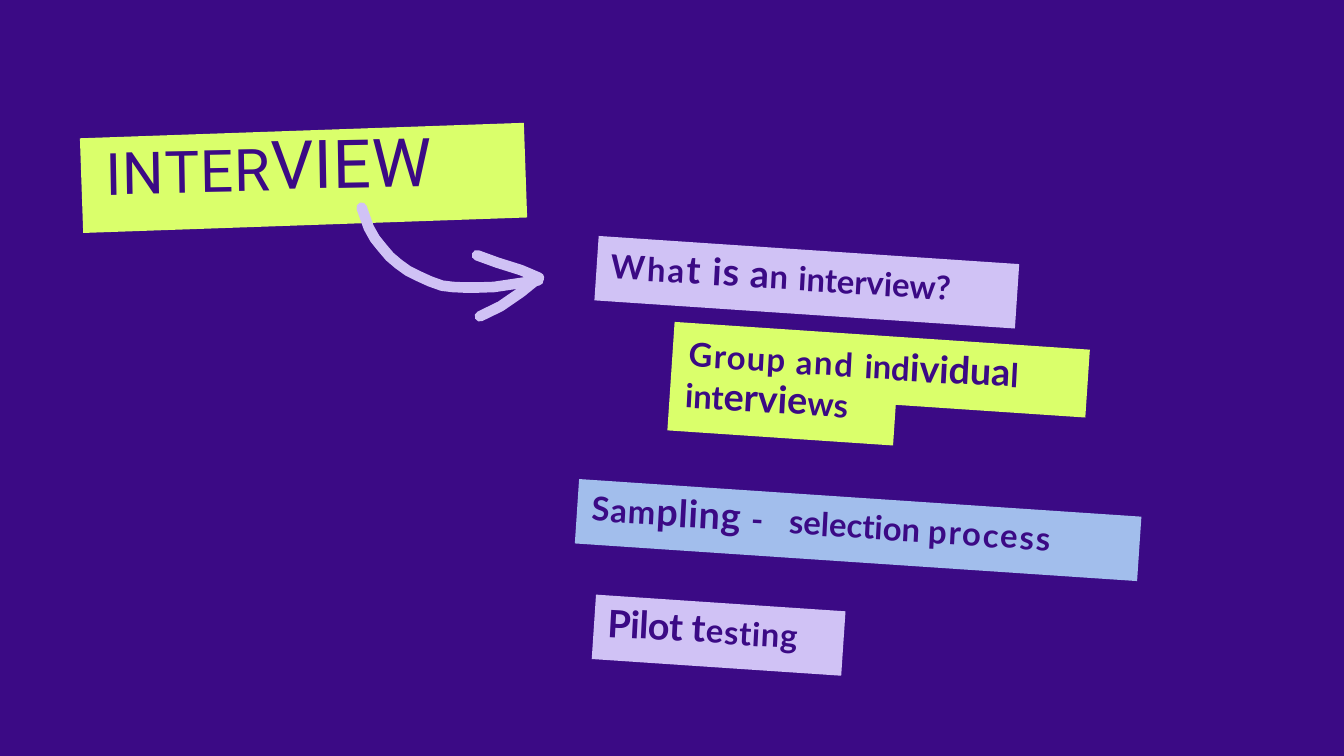
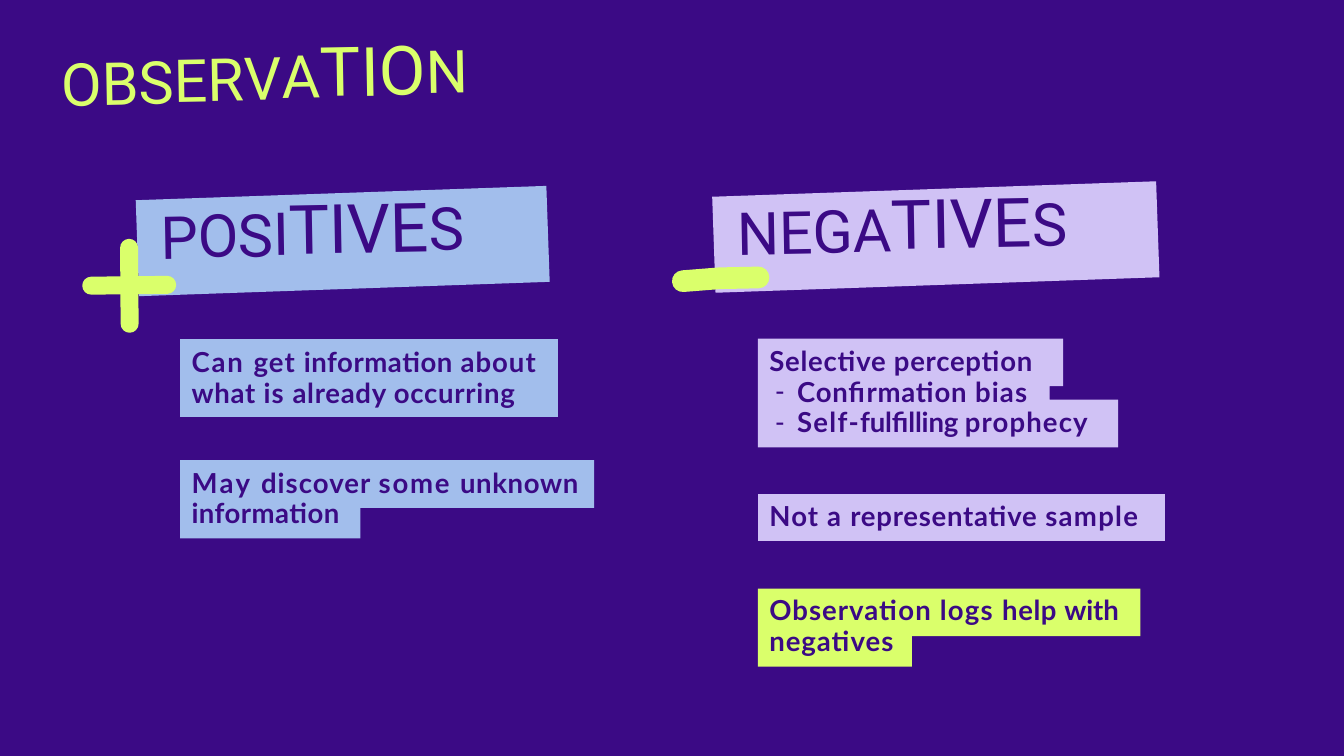
from dataclasses import dataclass
from math import cos, radians, sin

from lxml import etree
from pptx import Presentation
from pptx import util as u
from pptx.dml.color import RGBColor
from pptx.enum import text
from pptx.oxml import ns


@dataclass(frozen=True)
class Theme:
    purple: str = "3B0A85"
    lime: str = "DAFF6B"
    lilac: str = "D0C2F5"
    blue: str = "A2BEEC"
    heading_font: str = "Roboto"
    body_font: str = "Lato"
    title_size: float = 72
    heading_size: float = 73
    label_size: float = 40.5
    list_size: float = 29.5
    list_leading: float = 32.8
    raised_scale: float = 1.5
    heading_tilt: float = -2
    label_tilt: float = 3.83
    heading_turn: float = 359
    label_turn: float = 3


THEME = Theme()


@dataclass(frozen=True)
class Look:
    font: str
    size: float
    leading: float
    colour: str = THEME.purple
    bold: bool = False
    turn: float = 0


@dataclass(frozen=True)
class Item:
    """One paragraph; spans are (text, spacing in points, baseline in percent)."""
    spans: list
    gap: float = 0
    dashed: bool = False


def apply(target, values):
    for name, value in values.items():
        setattr(target, name, value)


def rgb(colour):
    return RGBColor.from_string(colour)


def heading_look(size, leading, colour=THEME.purple):
    return Look(THEME.heading_font, size, leading, colour, turn=THEME.heading_turn)


def label_look(leading):
    return Look(THEME.body_font, THEME.label_size, leading, bold=True,
                turn=THEME.label_turn)


LIST_LOOK = Look(THEME.body_font, THEME.list_size, THEME.list_leading, bold=True)


def add_span(para, look, words, spacing, shift=0):
    """Shifted letters render reduced, so they are set larger."""
    span = para.add_run()
    span.text = words
    scale = THEME.raised_scale if shift else 1
    apply(span.font, {"name": look.font, "size": u.Pt(look.size * scale),
                      "bold": look.bold})
    span.font.color.rgb = rgb(look.colour)
    props = span._r.get_or_add_rPr()
    props.set("spc", str(round(spacing * 100)))
    if shift:
        props.set("baseline", str(shift * 1000))


def set_bullet(para, dashed):
    props = para._p.get_or_add_pPr()
    margin, hanging = (1.05, -0.82) if dashed else (0, 0)
    props.set("marL", str(u.Cm(margin)))
    props.set("indent", str(u.Cm(hanging)))
    if dashed:
        etree.SubElement(props, ns.qn("a:buChar")).set("char", "-")
    else:
        etree.SubElement(props, ns.qn("a:buNone"))


def write(box, place, items, look):
    """Place a text box or placeholder on top of the page and fill it."""
    apply(box, dict(zip(("left", "top", "width", "height"), map(u.Cm, place))))
    box.rotation = look.turn
    frame = box.text_frame
    apply(frame, {"word_wrap": True, "vertical_anchor": text.MSO_ANCHOR.TOP,
                  "auto_size": text.MSO_AUTO_SIZE.SHAPE_TO_FIT_TEXT,
                  "margin_left": 0, "margin_top": 0,
                  "margin_right": 0, "margin_bottom": 0})
    for number, item in enumerate(items):
        para = frame.add_paragraph() if number else frame.paragraphs[0]
        apply(para, {"alignment": text.PP_ALIGN.LEFT,
                     "line_spacing": u.Pt(look.leading),
                     "space_before": u.Pt(item.gap), "space_after": u.Pt(0)})
        set_bullet(para, item.dashed)
        for span in item.spans:
            add_span(para, look, *span)
    box.element.getparent().append(box.element)


def add_label(page, place, leading, spans):
    box = page.shapes.add_textbox(0, 0, 0, 0)
    write(box, place, [Item(spans)], label_look(leading))


def emu(points):
    return [(u.Cm(x), u.Cm(y)) for x, y in points]


def add_strip(page, left, top, rows, colour, tilt=0):
    """Paper strip from rows of (width, bottom), turned about its top left."""
    outline, upper = [(0, 0)], 0
    for width, bottom in rows:
        outline += [(width, upper), (width, bottom)]
        upper = bottom
    outline.append((0, upper))
    c, s = cos(radians(tilt)), sin(radians(tilt))
    corners = emu((left + x * c - y * s, top + x * s + y * c) for x, y in outline)
    pen = page.shapes.build_freeform(*corners[0])
    pen.add_line_segments(corners[1:], close=True)
    strip = pen.convert_to_shape()
    strip.shadow.inherit = False
    strip.fill.solid()
    strip.fill.fore_color.rgb = rgb(colour)
    strip.line.fill.background()


def add_brush(page, strokes, colour, weight):
    """Thick round-ended strokes, each a list of points."""
    first, *others = map(emu, strokes)
    pen = page.shapes.build_freeform(*first[0])
    pen.add_line_segments(first[1:], close=False)
    for stroke in others:
        pen.move_to(*stroke[0])
        pen.add_line_segments(stroke[1:], close=False)
    mark = pen.convert_to_shape()
    mark.shadow.inherit = False
    mark.fill.background()
    mark.line.color.rgb = rgb(colour)
    mark.line.width = u.Cm(weight)
    line = mark.element.spPr.get_or_add_ln()
    line.set("cap", "rnd")
    etree.SubElement(line, ns.qn("a:round"))


def build_interview(deck):
    page = deck.slides.add_slide(deck.slide_layouts.get_by_name("Title Only"))
    for left, top, rows, colour in [
        (22.63, 8.92, [(15.93, 2.44)], THEME.lilac),
        (25.5, 12.17, [(15.73, 2.57), (8.55, 4.11)], THEME.lime),
        (21.89, 18.11, [(21.3, 2.44)], THEME.blue),
        (22.53, 22.48, [(9.45, 2.44)], THEME.lilac),
    ]:
        add_strip(page, left, top, rows, colour, THEME.label_tilt)

    add_label(page, (23.06, 10.11, 14.88, 1.42), 36.5, [
        ("W", 2.2, 3), ("ha", 2.2, 1), ("t ", 1.4), ("is a", 0.8),
        ("n ", 1.2, -1), ("i", -0.1, -1), ("nt", -0.1, -2),
        ("erv", -0.1, -3), ("ie", -0.1, -4), ("w?", -0.1, -5)])
    add_label(page, (26.01, 13.41, 14.48, 1.42), 39.4, [
        ("G", 1.4, 6), ("rou", 1.4, 5), ("p ", 1.4, 4), ("and ", 1.9, 3),
        ("in", -0.1, 2), ("d", -0.1, 1), ("ividua", -0.1), ("l", -0.1, -1)])
    add_label(page, (25.88, 14.71, 7.37, 1.42), 38.3, [
        ("i", -0.1, 2), ("nt", -0.1, 1), ("ervie", -0.1),
        ("w", -0.1, -1), ("s", -0.1, -2)])
    add_label(page, (22.33, 19.48, 20.22, 1.42), 35, [
        ("S", 1, 3), ("a", 1, 2), ("m", 1, 1), ("pling ", 0.7),
        ("- ", 9.5, -1), ("s", 0, -1), ("e", 0, -2), ("lect", 0, -3),
        ("io", 0, -4), ("n ", 0, -5), ("p", 2, -5), ("ro", 2, -6),
        ("ce", 2, -7), ("ss", 2, -8)])
    add_label(page, (22.94, 23.42, 8.46, 1.42), 37.3, [
        ("Pilot ", -0.6), ("t", 0.5), ("e", 0.7, -1), ("st", 0.7, -2),
        ("ing", 0.7, -3)])

    add_strip(page, 3.02, 5.23, [(16.79, 3.58)], THEME.lime, THEME.heading_tilt)
    write(page.shapes.title, (3.99, 5.49, 15.01, 2.54), [Item([
        ("IN", 0.8, -3), ("TE", 0.8, -2), ("R", 0.8, -1), ("VIEW", 0.6)])],
        heading_look(THEME.title_size, 68.3))
    shaft = [(13.67, 7.85), (13.94, 8.61), (14.17, 9.02), (14.45, 9.37),
             (14.73, 9.7), (15.06, 9.98), (15.42, 10.24), (15.82, 10.44),
             (16.26, 10.64), (16.71, 10.8), (17.12, 10.85), (17.53, 10.87),
             (18.08, 10.87), (18.67, 10.85), (20.35, 10.6)]
    head = [(18.03, 9.65), (18.8, 9.93), (19.69, 10.21), (20.37, 10.5),
            (19.69, 11.05), (18.92, 11.58), (18.14, 11.96)]
    add_brush(page, [shaft, head], THEME.lilac, 0.4)


def build_observation(deck):
    page = deck.slides.add_slide(deck.slide_layouts.get_by_name("Comparison"))
    title, positives, pros, negatives, cons = page.placeholders
    pros_left, cons_left, list_top = 6.81, 28.65, 12.8

    add_strip(page, 5.13, 7.57, [(15.53, 3.63)], THEME.blue, THEME.heading_tilt)
    add_strip(page, 26.92, 7.44, [(16.79, 3.63)], THEME.lilac, THEME.heading_tilt)
    for left, top, rows, colour in [
        (pros_left, list_top, [(14.27, 2.95)], THEME.blue),
        (pros_left, 17.4, [(15.65, 1.8), (6.81, 2.95)], THEME.blue),
        (cons_left, list_top, [(11.53, 1.8), (11.02, 2.31), (13.61, 4.11)],
         THEME.lilac),
        (cons_left, 18.67, [(15.39, 1.8)], THEME.lilac),
        (cons_left, 22.25, [(14.45, 1.8), (5.82, 2.95)], THEME.lime),
    ]:
        add_strip(page, left, top, rows, colour)

    write(title, (2.31, 2.06, 18.9, 2.57), [Item([
        ("OB", -0.1, -5), ("S", -0.1, -4), ("ER", -0.1, -3), ("V", -0.1, -2),
        ("A", -0.1, -1), ("TIO", -0.1), ("N", -0.1, 1)])],
        heading_look(THEME.heading_size, 67.5, THEME.lime))
    write(positives, (6.07, 7.9, 13.77, 2.57), [Item([
        ("P", -0.8, -3), ("OS", -0.8, -2), ("I", -0.8, -1),
        ("TIVE", -0.5), ("S", -0.8, 1)])],
        heading_look(THEME.heading_size, 69.5))
    write(negatives, (27.86, 7.75, 14.99, 2.57), [Item([
        ("NE", -0.3, -3), ("GA", -0.3, -2), ("TIVE", -0.2), ("S", -0.3, 1)])],
        heading_look(THEME.heading_size, 69))

    write(pros, (pros_left + 0.43, 13.13, 14.8, 6.89), [
        Item([("Can ", 2), ("get ", 1.2), ("information ", 0.6), ("about ", 1.1),
              ("what ", 0.8), ("is ", 1.1), ("already occurring", 0.8)]),
        Item([("May ", 2.6), ("discover ", 1.1), ("some ", 1.9),
              ("unknown ", 0.7), ("information", 0.5)], gap=64),
    ], LIST_LOOK)
    write(cons, (cons_left + 0.43, 13.1, 14.8, 11.74), [
        Item([("Selective perception", 0.8)]),
        Item([("Confirmation ", 0.8), ("bias", 1.2)], dashed=True),
        Item([("Self-", 1.4), ("fulfilling ", -0.2), ("prophecy", 1.2)],
             dashed=True),
        Item([("Not ", 1.2), ("a ", 1.4), ("representative ", 0.8),
              ("sample", 1.4)], gap=68),
        Item([("Observation ", 1.1), ("logs ", 1.4), ("help ", 0.6),
              ("with ", -0.2), ("negatives", 1)], gap=68),
    ], LIST_LOOK)

    plus = [[(4.88, 9.37), (4.9, 12.24)], [(3.45, 10.8), (6.32, 10.77)]]
    add_brush(page, plus, THEME.lime, 0.68)
    minus = [[(25.81, 10.63), (27.2, 10.52), (28.67, 10.49)]]
    add_brush(page, minus, THEME.lime, 0.82)


def main():
    deck = Presentation()
    apply(deck, {"slide_width": u.Cm(50.8), "slide_height": u.Cm(28.58)})
    backdrop = deck.slide_master.background.fill
    backdrop.solid()
    backdrop.fore_color.rgb = rgb(THEME.purple)
    build_interview(deck)
    build_observation(deck)
    deck.save("out.pptx")


if __name__ == "__main__":
    main()
